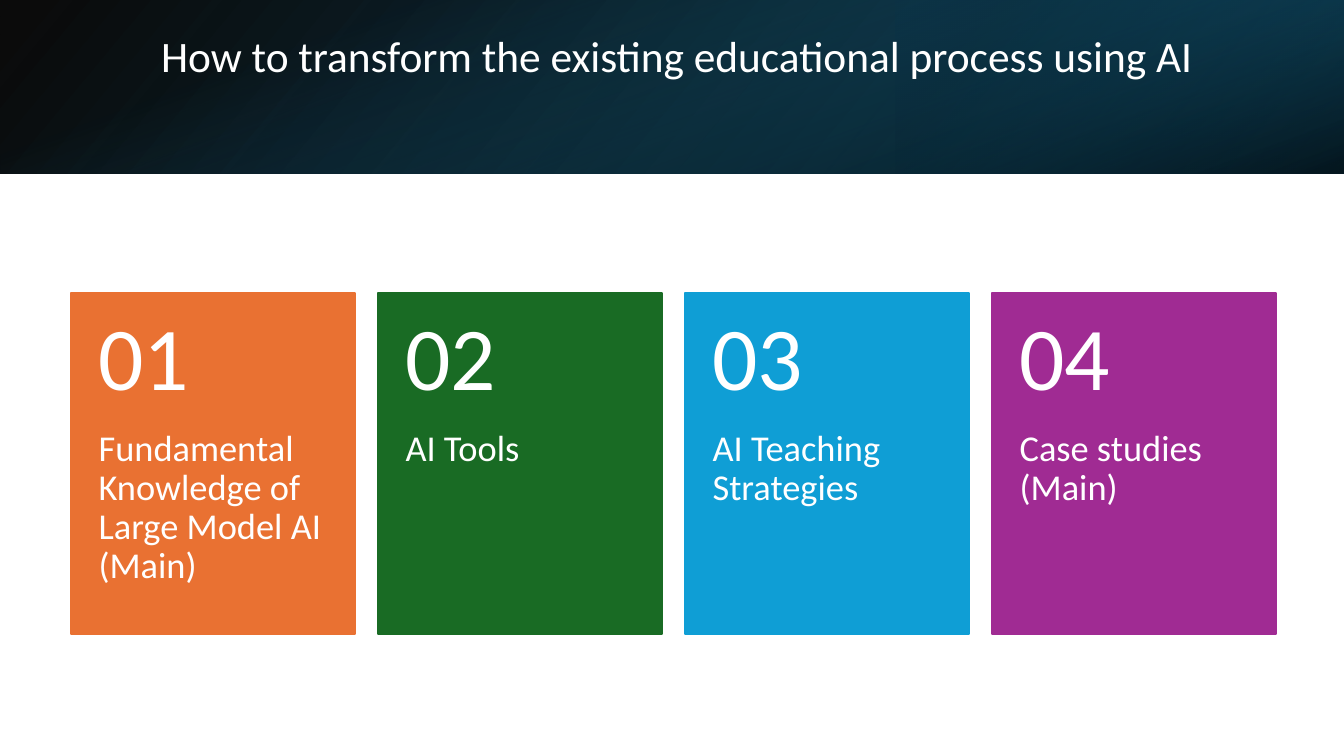
from lxml import etree
from pptx import Presentation
from pptx.dml.color import RGBColor
from pptx.enum.shapes import MSO_SHAPE as SHAPE
from pptx.enum.text import MSO_ANCHOR as ANCHOR, PP_ALIGN as ALIGN
from pptx.oxml.ns import qn
from pptx.util import Pt

COLORS = {
    "white": "FFFFFF", "black": "000000", "navy": "104862",
    "deep": "0B3041", "teal": "156082", "orange": "E97132",
    "green": "196B24", "blue": "0F9ED5", "purple": "A02B93",
}
FONT = "Calibri"
SLIDE_W, SLIDE_H = 960, 540
BAND_H = 124
CARD_LEFT, CARD_TOP, CARD_W, CARD_H = 50.4, 209.5, 203, 243.4
CARD_STEP, NUMBER_H = 219.3, 97.4
CARDS = [
    ("orange", "Fundamental Knowledge of Large Model AI (Main)"),
    ("green", "AI Tools"),
    ("blue", "AI Teaching Strategies"),
    ("purple", "Case studies (Main)"),
]


def rgb(name):
    return RGBColor.from_string(COLORS[name])


def add_rect(slide, left, top, width, height):
    sp = slide.shapes.add_shape(SHAPE.RECTANGLE, Pt(left), Pt(top), Pt(width), Pt(height))
    sp.shadow.inherit = False
    return sp


def add_gradient(slide, box, stops, angle, rotation=0, flip=False):
    """Add a rectangle with a gradient; stops are (position, colour, opacity) in percent."""
    sp = add_rect(slide, *box)
    sp.rotation = rotation
    sp.line.fill.background()
    sp_pr = sp._element.spPr
    if flip:
        sp_pr.xfrm.set("flipH", "1")
    grad = etree.Element(qn("a:gradFill"), rotWithShape="1")
    stop_list = etree.SubElement(grad, qn("a:gsLst"))
    for pos, color, opacity in stops:
        stop = etree.SubElement(stop_list, qn("a:gs"), pos=str(pos * 1000))
        clr = etree.SubElement(stop, qn("a:srgbClr"), val=COLORS[color])
        if opacity < 100:
            etree.SubElement(clr, qn("a:alpha"), val=str(opacity * 1000))
    etree.SubElement(grad, qn("a:lin"), ang=str(angle * 60000), scaled="0")
    sp_pr.find(qn("a:prstGeom")).addnext(grad)


def add_text(slide, box, text, size, insets, anchor=ANCHOR.TOP):
    left, top, width, height = map(Pt, box)
    tf = slide.shapes.add_textbox(left, top, width, height).text_frame
    tf.word_wrap = True
    tf.vertical_anchor = anchor
    tf.margin_left, tf.margin_top, tf.margin_right, tf.margin_bottom = map(Pt, insets)
    p = tf.paragraphs[0]
    p.alignment = ALIGN.LEFT
    p.line_spacing = 0.9
    r = p.add_run()
    r.text = text
    r.font.name = FONT
    r.font.size = Pt(size)
    r.font.color.rgb = rgb("white")


def add_card(slide, index, color, label):
    left = CARD_LEFT + index * CARD_STEP
    sp = add_rect(slide, left, CARD_TOP, CARD_W, CARD_H)
    sp.fill.solid()
    sp.fill.fore_color.rgb = rgb(color)
    sp.line.color.rgb = rgb(color)
    sp.line.width = Pt(1.5)
    add_text(slide, (left, CARD_TOP + NUMBER_H, CARD_W, CARD_H - NUMBER_H),
             label, 26, (20, 0, 20, 26))
    add_text(slide, (left, CARD_TOP, CARD_W, NUMBER_H),
             f"{index + 1:02d}", 64, (20, 13, 20, 13), ANCHOR.MIDDLE)


def main():
    prs = Presentation()
    prs.slide_width, prs.slide_height = Pt(SLIDE_W), Pt(SLIDE_H)
    s = prs.slides.add_slide(prs.slide_layouts[6])

    # Header band: base, right-hand glow, lower shade
    add_gradient(s, (0, 0, SLIDE_W, BAND_H),
                 [(0, "black", 96), (100, "navy", 100)], 140, flip=True)
    add_gradient(s, (640, 0, 320, BAND_H),
                 [(19, "deep", 68), (100, "teal", 79)], 320, rotation=180, flip=True)
    offset = (SLIDE_W - BAND_H) / 2
    add_gradient(s, (offset, -offset, BAND_H, SLIDE_W),
                 [(23, "teal", 0), (99, "black", 74)], 340, rotation=90)

    # Title
    add_text(s, (108, 25, 790, 69),
             "How to transform the existing educational process using AI",
             31, (7.2, 0, 7.2, 0))

    # Numbered cards
    for index, (color, label) in enumerate(CARDS):
        add_card(s, index, color, label)

    prs.save("out.pptx")


if __name__ == "__main__":
    main()
